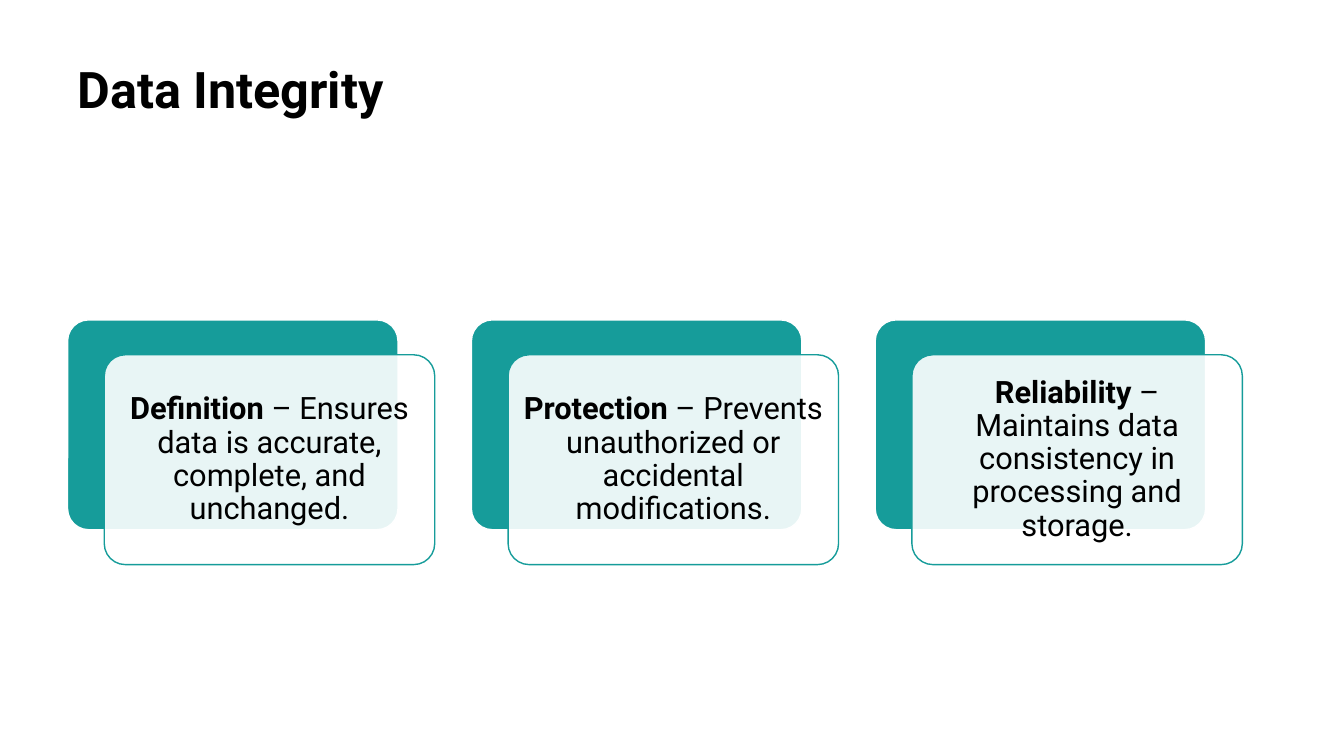
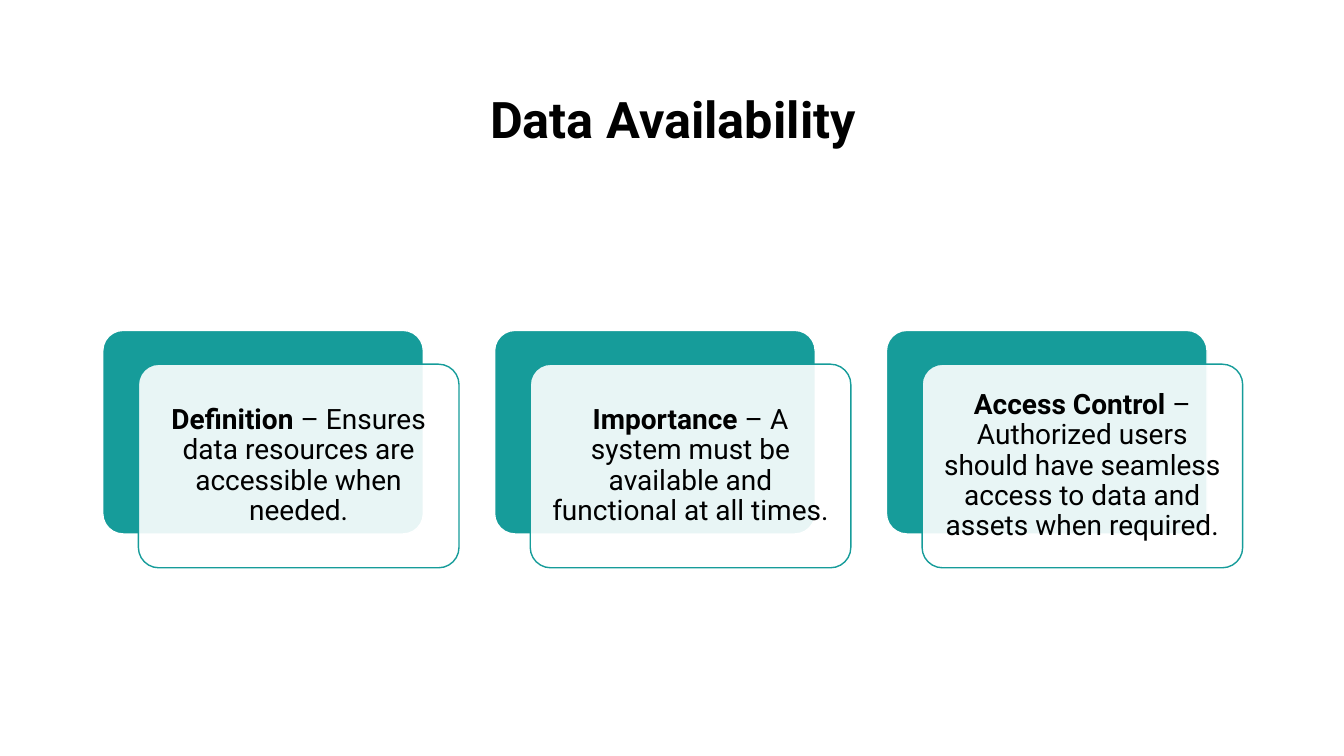
from dataclasses import dataclass
from typing import Optional

from lxml.etree import SubElement
from pptx import Presentation
from pptx.dml.color import RGBColor
from pptx.enum.shapes import MSO_SHAPE
from pptx.enum.text import MSO_ANCHOR, MSO_AUTO_SIZE, PP_ALIGN
from pptx.oxml.ns import qn
from pptx.util import Pt

FONT = "Roboto"
BLACK, WHITE, TEAL = "000000", "FFFFFF", "169C9A"
TITLE_TOP, TITLE_HEIGHT, TITLE_SIZE = 43, 89, 36

# Card proportions, relative to the card width
CARD_HEIGHT = 0.635
CARD_PITCH = 11 / 9
SHIFT_X = 1 / 9
SHIFT_Y = 0.95 / 9


@dataclass
class Title:
    text: str
    left: float
    width: float
    anchor: MSO_ANCHOR
    align: PP_ALIGN


@dataclass
class Card:
    term: str
    meaning: str


@dataclass
class CardRow:
    left: float
    top: float
    card_width: float
    font_size: float
    inset: float
    cards: list[Card]


SLIDES = [
    (
        Title("Data Integrity", 48, 839, MSO_ANCHOR.TOP, PP_ALIGN.LEFT),
        CardRow(48.3, 228.5, 236, 22, 6.6, [
            Card("Definition", "Ensures data is accurate, complete, and unchanged."),
            Card("Protection", "Prevents unauthorized or accidental modifications."),
            Card("Reliability", "Maintains data consistency in processing and storage."),
        ]),
    ),
    (
        Title("Data Availability", 120, 721.5, MSO_ANCHOR.MIDDLE, PP_ALIGN.CENTER),
        CardRow(73.4, 236, 229, 20, 6, [
            Card("Definition", "Ensures data resources are accessible when needed."),
            Card("Importance", "A system must be available and functional at all times."),
            Card("Access Control",
                 "Authorized users should have seamless access to data and assets when required."),
        ]),
    ),
]


def rgb(value: str) -> RGBColor:
    return RGBColor.from_string(value)


def set_attrs(target, values: dict) -> None:
    for name, value in values.items():
        setattr(target, name, value)


def add_run(p, text: str, size: float, bold: bool) -> None:
    r = p.add_run()
    r.text = text
    set_attrs(r.font, {"name": FONT, "size": Pt(size), "bold": bold})
    r.font.color.rgb = rgb(BLACK)


def add_title(s, title: Title) -> None:
    sp = s.shapes.title
    set_attrs(sp, {"left": Pt(title.left), "top": Pt(TITLE_TOP),
                   "width": Pt(title.width), "height": Pt(TITLE_HEIGHT)})
    tf = sp.text_frame
    set_attrs(tf, {"word_wrap": True, "auto_size": MSO_AUTO_SIZE.NONE,
                   "vertical_anchor": title.anchor})
    p = tf.paragraphs[0]
    set_attrs(p, {"alignment": title.align, "line_spacing": 0.9})
    add_run(p, title.text, TITLE_SIZE, True)


def add_panel(s, left: float, top: float, width: float, fill: str, line: str,
              opacity: Optional[int] = None):
    """Add a rounded panel; opacity is a percentage."""
    sp = s.shapes.add_shape(MSO_SHAPE.ROUNDED_RECTANGLE, Pt(left), Pt(top),
                            Pt(width), Pt(width * CARD_HEIGHT))
    sp.adjustments[0] = 0.1
    sp.shadow.inherit = False
    sp.fill.solid()
    sp.fill.fore_color.rgb = rgb(fill)
    sp.line.color.rgb = rgb(line)
    sp.line.width = Pt(1)
    if opacity is not None:
        color = sp._element.spPr.find(qn("a:solidFill")).find(qn("a:srgbClr"))
        SubElement(color, qn("a:alpha")).set("val", str(opacity * 1000))
    return sp


def add_cards(s, row: CardRow) -> None:
    width = row.card_width
    for i, card in enumerate(row.cards):
        left = row.left + i * width * CARD_PITCH
        add_panel(s, left, row.top, width, TEAL, WHITE)
        sp = add_panel(s, left + width * SHIFT_X, row.top + width * SHIFT_Y,
                       width, WHITE, TEAL, opacity=90)
        tf = sp.text_frame
        set_attrs(tf, {"word_wrap": True, "vertical_anchor": MSO_ANCHOR.MIDDLE})
        set_attrs(tf, {f"margin_{side}": Pt(row.inset)
                       for side in ("left", "top", "right", "bottom")})
        p = tf.paragraphs[0]
        set_attrs(p, {"alignment": PP_ALIGN.CENTER, "line_spacing": 0.9})
        add_run(p, card.term, row.font_size, True)
        add_run(p, f" – {card.meaning}", row.font_size, False)


def main() -> None:
    prs = Presentation()
    set_attrs(prs, {"slide_width": Pt(960), "slide_height": Pt(540)})
    title_only = prs.slide_layouts[5]
    for title, row in SLIDES:
        s = prs.slides.add_slide(title_only)
        add_title(s, title)
        add_cards(s, row)
    prs.save("out.pptx")


if __name__ == "__main__":
    main()
